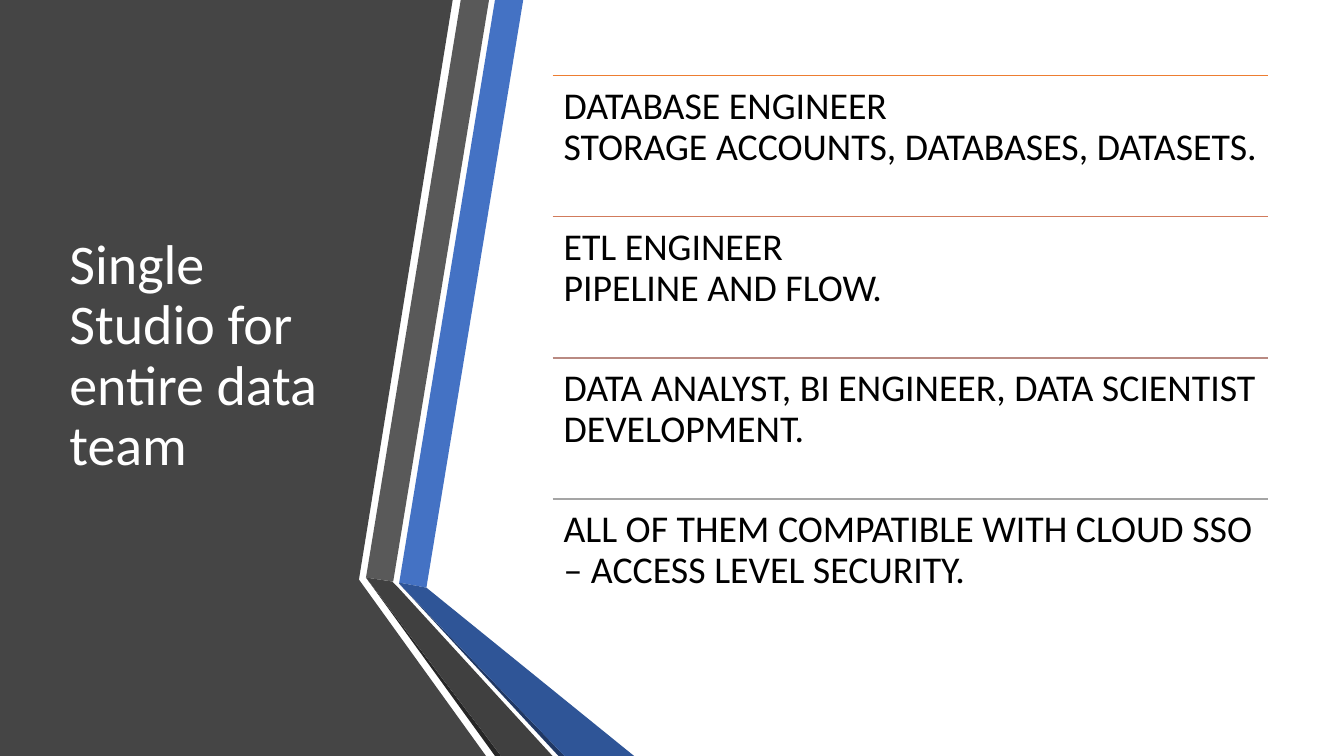
from lxml import etree
from pptx import Presentation
from pptx.dml.color import RGBColor
from pptx.enum.shapes import MSO_CONNECTOR
from pptx.enum.text import MSO_ANCHOR
from pptx.oxml.ns import qn
from pptx.util import Pt

PX = 9144
SLIDE_WIDTH, SLIDE_HEIGHT = 1333, 750
FONT = "Calibri"
STRAIGHT = MSO_CONNECTOR.STRAIGHT
TOP, MIDDLE = MSO_ANCHOR.TOP, MSO_ANCHOR.MIDDLE

WHITE = RGBColor(0xFF, 0xFF, 0xFF)
BLACK = RGBColor(0x00, 0x00, 0x00)
PANEL_GRAY = RGBColor(0x45, 0x45, 0x45)
BLUE = RGBColor(0x44, 0x72, 0xC4)
DARK_BLUE = RGBColor(0x2F, 0x55, 0x97)
NAVY = RGBColor(0x20, 0x38, 0x64)
GRAY = RGBColor(0x59, 0x59, 0x59)
DARK_GRAY = RGBColor(0x40, 0x40, 0x40)
CHARCOAL = RGBColor(0x26, 0x26, 0x26)
ORANGE = RGBColor(0xED, 0x7D, 0x31)
TERRACOTTA = RGBColor(0xD1, 0x7B, 0x5C)
ROSE = RGBColor(0xB9, 0x8A, 0x82)
SILVER = RGBColor(0xA5, 0xA5, 0xA5)

PANEL = [(0, 0), (449, 0), (356, 575), (482, 750), (0, 750)]
RIBBONS = [
    (BLUE, [(396, 578), (423, 583), (519, 0), (491, 0)]),
    (GRAY, [(485, 0), (457, 0), (363, 573), (390, 577)]),
    (CHARCOAL, [(363, 573), (491, 750), (497, 750)]),
    (NAVY, [(396, 579), (554, 750), (560, 750)]),
    (DARK_BLUE, [(396, 579), (560, 750), (629, 750), (423, 583), (396, 578)]),
    (DARK_GRAY, [(548, 750), (395, 583), (389, 577), (363, 573), (497, 750)]),
]
ROLES = [
    (ORANGE, "DATABASE ENGINEER\vSTORAGE ACCOUNTS, DATABASES, DATASETS."),
    (TERRACOTTA, "ETL ENGINEER\vPIPELINE AND FLOW."),
    (ROSE, "DATA ANALYST, BI ENGINEER, DATA SCIENTIST\vDEVELOPMENT."),
    (SILVER, "ALL OF THEM COMPATIBLE WITH CLOUD SSO – ACCESS LEVEL SECURITY."),
]


def add_polygon(slide, left, top, points, color):
    """Draw a filled outline whose points are relative to left and top."""
    builder = slide.shapes.build_freeform(*points[0], scale=PX)
    builder.add_line_segments(points[1:], close=True)
    shape = builder.convert_to_shape(left * PX, top * PX)
    shape.shadow.inherit = False
    shape.fill.solid()
    shape.fill.fore_color.rgb = color
    shape.line.fill.background()


def add_text(slide, box, text, size, color, anchor, margins):
    """Place one wrapped paragraph in the box."""
    textbox = slide.shapes.add_textbox(*(length * PX for length in box))
    frame = textbox.text_frame
    frame.word_wrap = True
    frame.vertical_anchor = anchor
    horizontal, vertical = margins
    frame.margin_left = frame.margin_right = horizontal * PX
    frame.margin_top = frame.margin_bottom = vertical * PX
    frame.text = text
    paragraph = frame.paragraphs[0]
    paragraph.line_spacing = 0.9
    for run in paragraph.runs:
        run.font.name = FONT
        run.font.size = Pt(size)
        run.font.color.rgb = color


def add_rule(slide, left, top, width, color):
    """Draw a thin horizontal line."""
    rule = slide.shapes.add_connector(
        STRAIGHT, left * PX, top * PX, (left + width) * PX, top * PX)
    rule.line.color.rgb = color
    rule.line.width = Pt(1)
    etree.SubElement(rule._element.spPr, qn("a:effectLst"))


def add_title_panel(slide, left, top):
    """Draw the dark panel, its folded ribbons and the title."""
    add_polygon(slide, left, top, PANEL, PANEL_GRAY)
    for color, points in RIBBONS:
        add_polygon(slide, left, top, points, color)
    add_text(slide, (left + 59, top + 75, 304, 558),
             "Single Studio for entire data team", 40, WHITE, MIDDLE, (10, 5))


def add_role_list(slide, left, top, width, height):
    """Stack the roles in equal rows, each under a coloured rule."""
    row_height = height // len(ROLES)
    for index, (color, text) in enumerate(ROLES):
        row_top = top + index * row_height
        add_rule(slide, left, row_top, width, color)
        add_text(slide, (left, row_top, width, row_height),
                 text, 27, BLACK, TOP, (11, 11))


def main():
    """Build the slide and save it."""
    presentation = Presentation()
    presentation.slide_width = SLIDE_WIDTH * PX
    presentation.slide_height = SLIDE_HEIGHT * PX
    slide = presentation.slides.add_slide(presentation.slide_layouts[6])
    add_title_panel(slide, 0, 0)
    add_role_list(slide, 548, 75, 710, 560)
    presentation.save("out.pptx")


if __name__ == "__main__":
    main()
